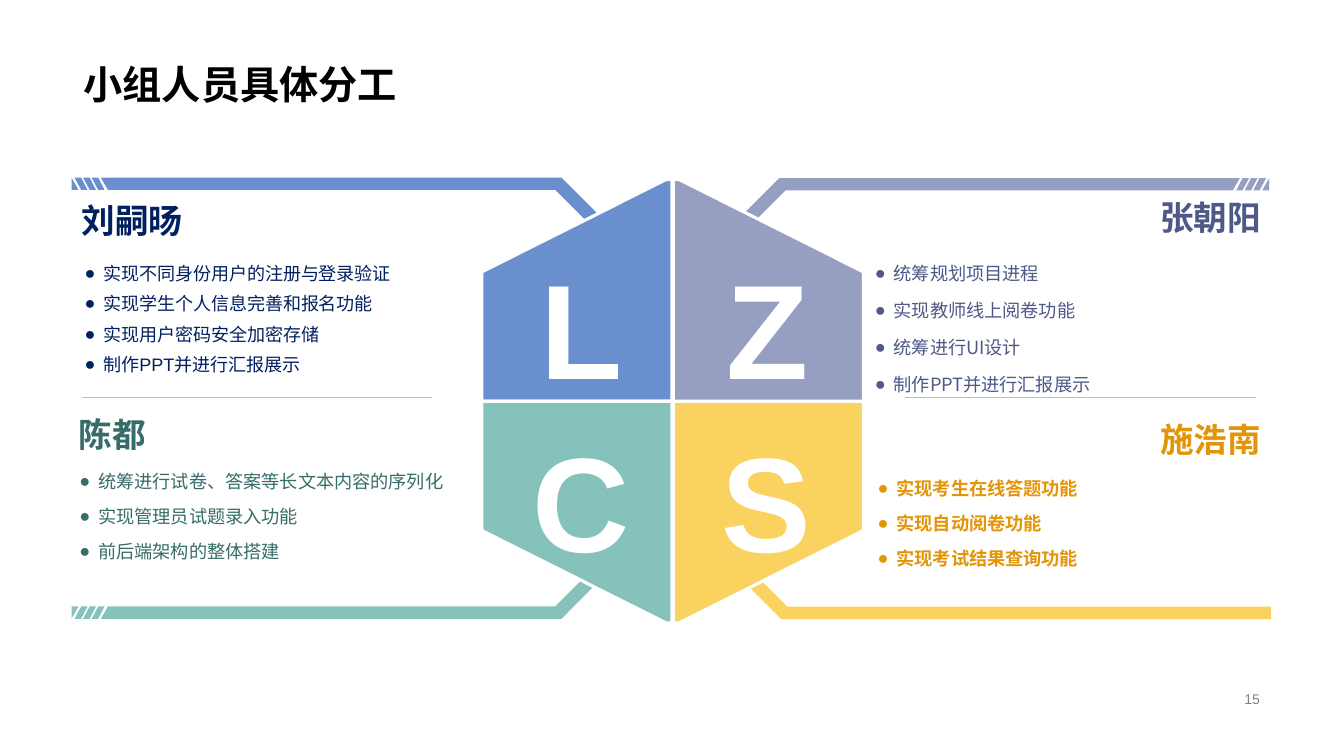
from lxml.etree import SubElement
from pptx import Presentation
from pptx.dml.color import RGBColor
from pptx.enum.shapes import MSO_CONNECTOR as Connector
from pptx.enum.text import MSO_ANCHOR as Anchor, MSO_AUTO_SIZE as AutoSize, PP_ALIGN as Align
from pptx.oxml.ns import qn
from pptx.util import Pt

BLACK = RGBColor(0x00, 0x00, 0x00)
WHITE = RGBColor(0xFF, 0xFF, 0xFF)
GRAY = RGBColor(0x80, 0x80, 0x80)
RULE_GRAY = RGBColor(0xBF, 0xBF, 0xBF)
BLUE = RGBColor(0x69, 0x8F, 0xCE)
NAVY = RGBColor(0x00, 0x20, 0x60)
LILAC = RGBColor(0x96, 0x9E, 0xC2)
INDIGO = RGBColor(0x4E, 0x59, 0x88)
TEAL = RGBColor(0x85, 0xC2, 0xBC)
PINE = RGBColor(0x37, 0x6D, 0x68)
YELLOW = RGBColor(0xFA, 0xD2, 0x5F)
ORANGE = RGBColor(0xE3, 0x94, 0x07)
CHINESE_FONT = "Noto Sans CJK SC"

presentation = Presentation()
presentation.slide_width, presentation.slide_height = Pt(960), Pt(540)
slide = presentation.slides.add_slide(presentation.slide_layouts[5])
shapes = slide.shapes


def write(lines, left, top, width, height, size, color, *, shape=None, bold=False,
          font="Arial", align=Align.LEFT, anchor=Anchor.TOP, spacing=None, bullet=False):
    """Place lines of text in the given shape, or in a new text box."""
    shape = shape or shapes.add_textbox(0, 0, 0, 0)
    shape.left, shape.top, shape.width, shape.height = map(Pt, (left, top, width, height))
    frame = shape.text_frame
    frame.text = "\n".join(lines)
    frame.word_wrap = True
    frame.auto_size = AutoSize.NONE
    frame.vertical_anchor = anchor
    for paragraph in frame.paragraphs:
        paragraph.alignment = align
        if spacing:
            paragraph.line_spacing = spacing
        if bullet:
            properties = paragraph._p.get_or_add_pPr()
            properties.set("marL", str(Pt(13.5)))
            properties.set("indent", str(Pt(-13.5)))
            SubElement(properties, qn("a:buFont"), typeface="Arial")
            SubElement(properties, qn("a:buChar"), char="●")
        run = paragraph.runs[0]
        run.font.name, run.font.size, run.font.bold = font, Pt(size), bold
        run.font.color.rgb = color
        SubElement(run._r.get_or_add_rPr(), qn("a:ea"), typeface=CHINESE_FONT)


def draw_outline(contours, origin, direction, fill, line_width=0):
    """Draw closed contours, measured from origin along the x and y directions."""
    placed = [
        [tuple(Pt(start + sign * step) for start, sign, step in zip(origin, direction, point))
         for point in contour]
        for contour in contours
    ]
    builder = shapes.build_freeform(*placed[0][0])
    for index, points in enumerate(placed):
        if index:
            builder.move_to(*points[0])
        builder.add_line_segments(points[1:], close=True)
    shape = builder.convert_to_shape()
    shape.shadow.inherit = False
    shape.fill.solid()
    shape.fill.fore_color.rgb = fill
    if line_width:
        shape.line.color.rgb = WHITE
        shape.line.width = Pt(line_width)
    else:
        shape.line.fill.background()


write(["小组人员具体分工"], 52.5, 0, 855, 80.6, 28, BLACK, shape=shapes.title,
      bold=True, anchor=Anchor.BOTTOM, spacing=0.9)
write(["15"], 678, 491, 229, 16.6, 10, GRAY, align=Align.RIGHT, anchor=Anchor.MIDDLE)

# Brackets: a bar that bends towards the hexagon, with slanted stripes at its outer end
BAR = 8.8
bend = [(350, 0), (429, 79.2), (429, 158.4), (421.2, 158.4), (421.2, 84.4), (345.6, BAR)]
stripes = [
    [(x, 0), (x + 4.7, 0), (x + 9.2, BAR), (x + 4.7, BAR)]
    for x in (14.4, 8.3, 2.2)
]
striped_bracket = [[(21, 0), *bend, (26, BAR)], *stripes, [(0, 0), (5, BAR), (0, BAR)]]
plain_bracket = [[(0, 0), *bend, (0, BAR)]]
for contours, origin, direction, color in [
    (striped_bracket, (51.1, 442), (1, -1), TEAL),
    (striped_bracket, (906.6, 127.3), (-1, 1), LILAC),
    (plain_bracket, (908, 442.2), (-1, -1), YELLOW),
    (striped_bracket, (51.1, 126.9), (1, 1), BLUE),
]:
    draw_outline(contours, origin, direction, color)

# Hexagon: four mirrored panels, each with the initial of one member
panel = [[(0, 0), (135.7, 0), (135.7, 92.4), (4, 158.4), (0, 158.4)]]
for letter, center_x, direction, color, letter_center, letter_top in [
    ("L", 479.9, (-1, -1), BLUE, 415.4, 163.4),
    ("C", 479.9, (-1, 1), TEAL, 415.4, 286.6),
    ("S", 481, (1, 1), YELLOW, 547.6, 286.6),
    ("Z", 481, (1, -1), LILAC, 548.6, 163.4),
]:
    draw_outline(panel, (center_x, 286.6), direction, color, line_width=2.25)
    write([letter], letter_center - 65, letter_top, 130, 139, 96, WHITE,
          bold=True, align=Align.CENTER, anchor=Anchor.MIDDLE)

for rule_left in (58.3, 646.6):
    rule = shapes.add_connector(Connector.STRAIGHT, Pt(rule_left), Pt(283.7),
                                Pt(rule_left + 250.6), Pt(283.7))
    rule.line.color.rgb = RULE_GRAY
    rule.line.width = Pt(0.25)
    SubElement(rule._element.spPr, qn("a:effectLst"))

for name, left, top, color, align in [
    ("刘嗣旸", 51.1, 136.8, NAVY, Align.LEFT),
    ("陈都", 49, 289.4, PINE, Align.LEFT),
    ("张朝阳", 616.3, 134.6, INDIGO, Align.RIGHT),
    ("施浩南", 616.3, 293, ORANGE, Align.RIGHT),
]:
    write([name], left, top, 291.6, 41, 24, color, bold=True, align=align,
          anchor=Anchor.MIDDLE)

write(["实现不同身份用户的注册与登录验证", "实现学生个人信息完善和报名功能",
       "实现用户密码安全加密存储", "制作PPT并进行汇报展示"],
      53.3, 177.8, 291.6, 93, 12.9, NAVY, spacing=1.4, bullet=True)
write(["统筹规划项目进程", "实现教师线上阅卷功能", "统筹进行UI设计", "制作PPT并进行汇报展示"],
      617.8, 172.8, 291.6, 146, 13, INDIGO, font=CHINESE_FONT, spacing=1.7, bullet=True)
write(["统筹进行试卷、答案等长文本内容的序列化", "实现管理员试题录入功能", "前后端架构的整体搭建"],
      49.7, 323.3, 300.2, 93, 13, PINE, spacing=1.6, bullet=True)
write(["实现考生在线答题功能", "实现自动阅卷功能", "实现考试结果查询功能"],
      619.9, 328.3, 300.2, 93, 13, ORANGE, bold=True, spacing=1.6, bullet=True)

presentation.save("out.pptx")
